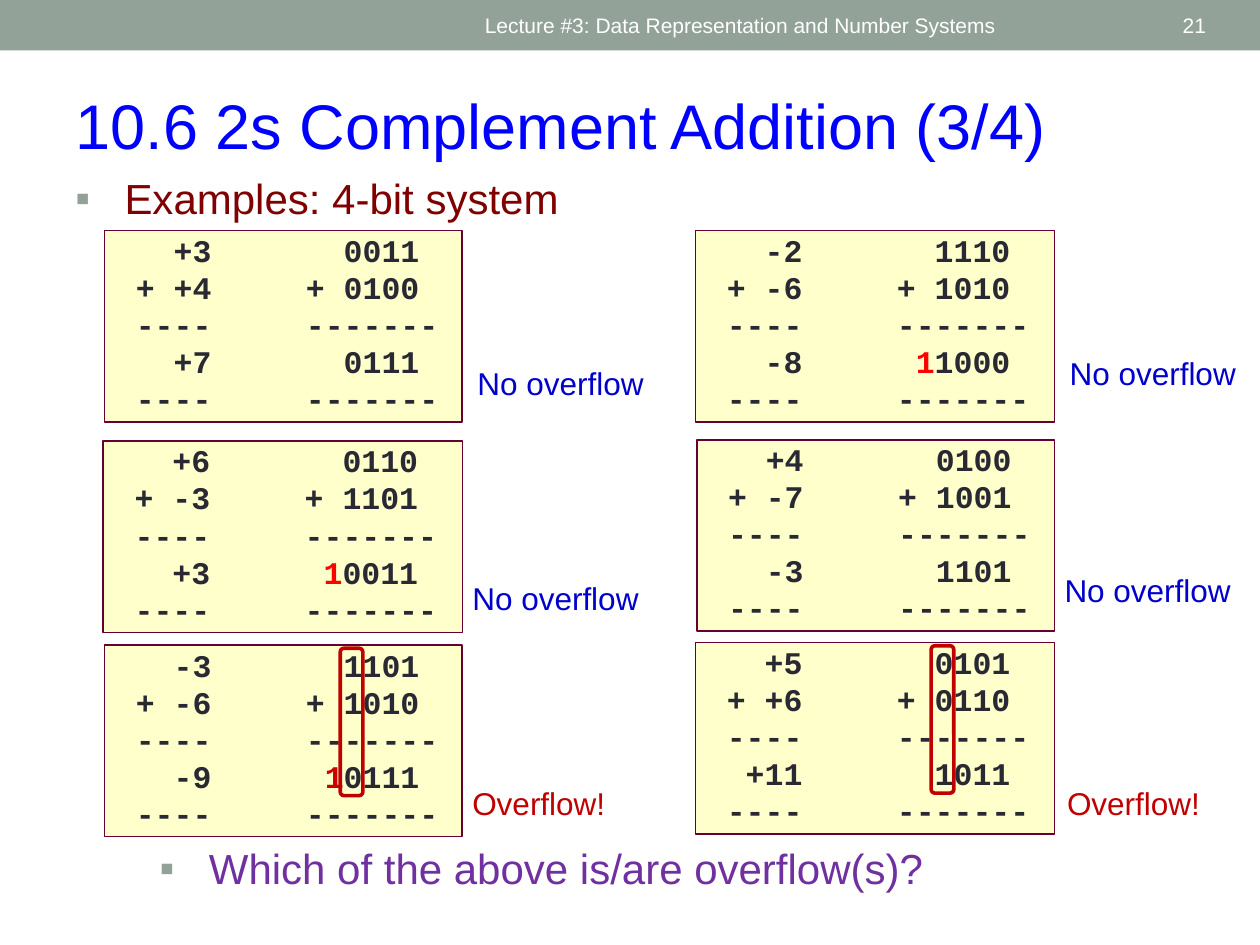
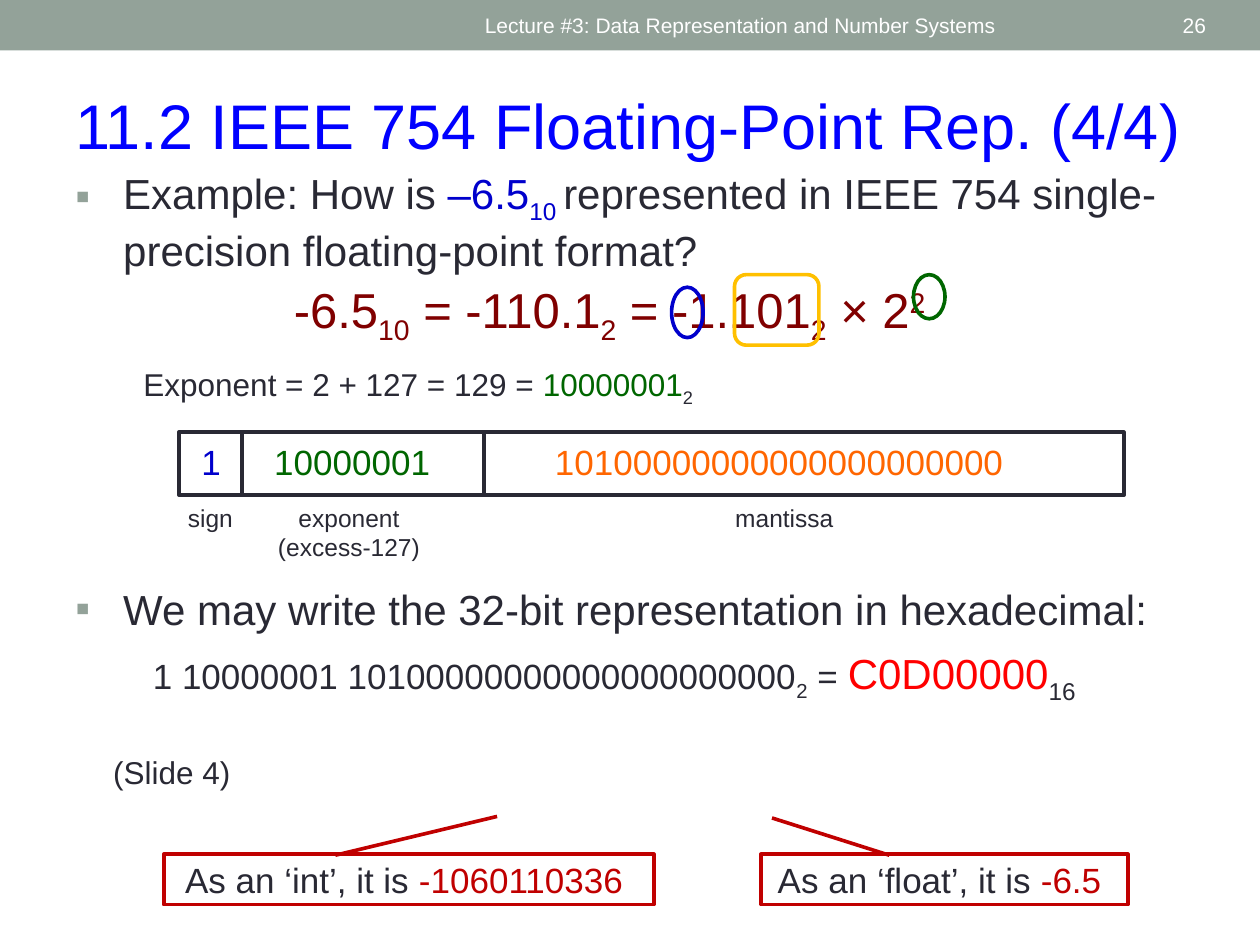
from dataclasses import dataclass

from lxml.etree import SubElement
from pptx import Presentation
from pptx.dml.color import RGBColor
from pptx.enum.shapes import MSO_SHAPE as Preset
from pptx.enum.text import MSO_ANCHOR as Anchor, MSO_AUTO_SIZE as AutoSize, PP_ALIGN as Align
from pptx.oxml.ns import qn
from pptx.util import Inches, Pt

WIDTH, HEIGHT = Inches(10), Inches(7.5)
COLUMN, ROW = WIDTH // 100, HEIGHT // 75


@dataclass(frozen=True)
class Theme:
    font: str = "Arial"
    code_font: str = "Courier New"
    white: str = "FFFFFF"
    band: str = "93A299"
    title: str = "0000FF"
    ink: str = "292934"
    maroon: str = "800000"
    purple: str = "7030A0"
    blue: str = "0000CC"
    green: str = "006600"
    orange: str = "FF6600"
    amber: str = "FFC000"
    red: str = "FF0000"
    carry: str = "CC0000"
    alert: str = "C00000"
    paper: str = "FFFFCC"
    paper_edge: str = "660033"
    title_size: int = 36
    equation_size: int = 28
    bullet_size: int = 24
    value_size: int = 20
    body_size: int = 18
    label_size: int = 14
    band_size: int = 12
    thin: float = 1
    thick: float = 2.08


THEME = Theme()


@dataclass(frozen=True)
class Box:
    left: float
    top: float
    width: float
    height: float

    def inner(self, left, top, width, height):
        return Box(self.left + left, self.top + top, width, height)

    def lengths(self):
        return (round(self.left * COLUMN), round(self.top * ROW),
                round(self.width * COLUMN), round(self.height * ROW))


@dataclass(frozen=True)
class Sum:
    box: Box
    first: tuple
    second: tuple
    result: tuple
    verdict_at: tuple
    carry: str = ""
    overflow: bool = False


PAGE = Box(0, 0, 100, 75)


def rgb(color):
    return RGBColor.from_string(color)


def add_run(paragraph, text, color, size, font=THEME.font, bold=False, baseline=0):
    run = paragraph.add_run()
    run.text = text
    for name, value in {"name": font, "size": Pt(size), "bold": bold}.items():
        setattr(run.font, name, value)
    run.font.color.rgb = rgb(color)
    if baseline:
        run.font._element.set("baseline", str(baseline * 1000))


def write(shape, lines, color=THEME.ink, size=THEME.body_size,
          align=Align.LEFT, anchor=Anchor.TOP, **style):
    frame = shape.text_frame
    formats = {"word_wrap": True, "auto_size": AutoSize.NONE, "vertical_anchor": anchor}
    for name, value in formats.items():
        setattr(frame, name, value)
    for index, runs in enumerate(lines):
        paragraph = frame.add_paragraph() if index else frame.paragraphs[0]
        paragraph.alignment = align
        for text, changes in runs:
            add_run(paragraph, text, **{"color": color, "size": size, **style, **changes})
    return shape


def plain(*lines):
    return [[(line, {})] for line in lines]


def add_text(slide, box, lines, **style):
    return write(slide.shapes.add_textbox(*box.lengths()), lines, **style)


def add_preset(slide, preset, box, fill=None, line=None, weight=THEME.thick):
    shape = slide.shapes.add_shape(preset, *box.lengths())
    shape.shadow.inherit = False
    if fill:
        shape.fill.solid()
        shape.fill.fore_color.rgb = rgb(fill)
    else:
        shape.fill.background()
    if line:
        shape.line.color.rgb = rgb(line)
        shape.line.width = Pt(weight)
    else:
        shape.line.fill.background()
    return shape


def add_bullet(slide, box, runs, margin=3.8, hang=3.8, **style):
    shape = slide.shapes.add_textbox(*box.lengths())
    properties = shape.text_frame.paragraphs[0]._p.get_or_add_pPr()
    properties.set("marL", str(round(margin * COLUMN)))
    properties.set("indent", str(round(-hang * COLUMN)))
    SubElement(SubElement(properties, qn("a:buClr")), qn("a:srgbClr"), val=THEME.band)
    SubElement(properties, qn("a:buFont"), typeface=THEME.font)
    SubElement(properties, qn("a:buChar"), char="▪")
    write(shape, [runs], size=THEME.bullet_size, **style)


def start_slide(presentation, title, number, title_width=90):
    slide = presentation.slides.add_slide(presentation.slide_layouts[5])
    band = PAGE.inner(0, 0, 100, 4)
    add_preset(slide, Preset.RECTANGLE, band, fill=THEME.band)
    style = {"color": THEME.white, "size": THEME.band_size, "anchor": Anchor.MIDDLE}
    add_text(slide, band.inner(37.5, 0.2, 45, 3.6),
             plain("Lecture #3: Data Representation and Number Systems"), **style)
    add_text(slide, band.inner(87.2, 0.2, 9.5, 3.6), plain(number), align=Align.RIGHT, **style)
    placeholder = slide.shapes.title
    lengths = PAGE.inner(5, 6.4, title_width, 7.1).lengths()
    for name, value in zip(("left", "top", "width", "height"), lengths):
        setattr(placeholder, name, value)
    write(placeholder, plain(title), color=THEME.title, size=THEME.title_size)
    return slide


def set_sum_columns(paragraph, ends):
    digit = Pt(THEME.body_size) * 0.6
    stops = SubElement(paragraph._p.get_or_add_pPr(), qn("a:tabLst"))
    for end in ends:
        SubElement(stops, qn("a:tab"), pos=str(round(end * digit)), algn="r")


def add_sum(slide, example):
    box = example.box
    shape = add_preset(slide, Preset.RECTANGLE, box, THEME.paper, THEME.paper_edge, THEME.thin)
    decimal, binary = example.result
    carry_color = THEME.carry if example.overflow else THEME.red
    result = [(f"\t{decimal}\t", {})]
    if example.carry:
        result.append((example.carry, {"color": carry_color}))
    result.append((binary, {}))
    rule = [("\t----\t-------", {})]
    lines = [
        [("\t{}\t{}".format(*example.first), {})],
        [("\t+ {}\t+ {}".format(*example.second), {})],
        rule, result, rule,
    ]
    frame = shape.text_frame
    write(shape, lines, font=THEME.code_font, bold=True)
    for index, paragraph in enumerate(frame.paragraphs):
        set_sum_columns(paragraph, (5, 17 if lines[index] is rule else 16))
        paragraph.line_spacing = 0.85
        if index:
            paragraph.space_before = Pt(2.8)
    verdict, color = ("Overflow!", THEME.alert) if example.overflow else ("No overflow", THEME.blue)
    add_text(slide, box.inner(*example.verdict_at, 16.5, 4), plain(verdict), color=color)
    if example.overflow:
        add_preset(slide, Preset.ROUNDED_RECTANGLE, box.inner(18.7, 0.25, 1.8, 11.7),
                   line=THEME.alert)


def build_addition(presentation):
    slide = start_slide(presentation, "10.6 2s Complement Addition (3/4)", "21")
    add_bullet(slide, PAGE.inner(5, 13.2, 90, 5.8), [("Examples: 4-bit system", {})],
               margin=3.9, hang=3.9, color=THEME.maroon)
    add_bullet(slide, PAGE.inner(10.8, 66.4, 71.7, 5.2),
               [("Which of the above is/are overflow(s)?", {})],
               margin=4.8, hang=3.9, color=THEME.purple)
    examples = [
        Sum(Box(8.3, 18.3, 28.4, 15.2), ("+3", "0011"), ("+4", "0100"), ("+7", "0111"),
            (28.6, 10.1)),
        Sum(Box(55.2, 18.3, 28.5, 15.2), ("-2", "1110"), ("-6", "1010"), ("-8", "1000"),
            (28.7, 9.3), carry="1"),
        Sum(Box(8.2, 35, 28.5, 15.2), ("+6", "0110"), ("-3", "1101"), ("+3", "0011"),
            (28.3, 10.5), carry="1"),
        Sum(Box(55.3, 34.9, 28.4, 15.2), ("+4", "0100"), ("-7", "1001"), ("-3", "1101"),
            (28.2, 9.9)),
        Sum(Box(8.3, 51.2, 28.4, 15.2), ("-3", "1101"), ("-6", "1010"), ("-9", "0111"),
            (28.2, 10.5), carry="1", overflow=True),
        Sum(Box(55.2, 51, 28.5, 15.2), ("+5", "0101"), ("+6", "0110"), ("+11", "1011"),
            (28.5, 10.7), overflow=True),
    ]
    for example in examples:
        add_sum(slide, example)


def add_equation(slide, box):
    low, high = {"baseline": -25}, {"baseline": 30}
    runs = [("-6.5", {}), ("10", low), (" = -110.1", {}), ("2", low),
            (" = -1.101", {}), ("2", low), (" × 2", {}), ("2 ", high)]
    add_text(slide, box, [runs], color=THEME.maroon, size=THEME.equation_size, align=Align.CENTER)
    marks = [
        (Preset.OVAL, (32.5, 1.1, 2.5, 4), THEME.blue),
        (Preset.OVAL, (51.7, 0.1, 2.5, 3.5), THEME.green),
        (Preset.ROUNDED_RECTANGLE, (37.5, 0.1, 6.7, 5.6), THEME.amber),
    ]
    for preset, place, color in marks:
        add_preset(slide, preset, box.inner(*place), line=color)


def add_bit_fields(slide, box):
    fields = [
        (5, "1", THEME.blue, (0.8, 3.3), ["sign"], (-0.4, 5.8)),
        (19.2, "10000001", THEME.green, (0, 17.5), ["exponent", "(excess-127)"], (1.6, 13.8)),
        (50.8, "10100000000000000000000", THEME.orange, (2.2, 42.5), ["mantissa"], (17.4, 12.9)),
    ]
    left = 0
    for width, bits, color, (value_left, value_width), label, (label_left, label_width) in fields:
        field = box.inner(left, 0, width, box.height)
        add_preset(slide, Preset.RECTANGLE, field, line=THEME.ink)
        add_text(slide, field.inner(value_left, 0.2, value_width, 4.4), plain(bits),
                 color=color, size=THEME.value_size, align=Align.CENTER)
        add_text(slide, field.inner(label_left, 5.1, label_width, 1.1 + 2.3 * len(label)),
                 plain(*label), size=THEME.label_size, align=Align.CENTER)
        left += width


def add_reading(slide, box, kind, value, pointer):
    shape = add_preset(slide, Preset.LINE_CALLOUT_1, box, THEME.white, THEME.alert)
    for index, share in enumerate(pointer):
        shape.adjustments[index] = share
    runs = [(f"As an ‘{kind}’, it is ", {}), (value, {"color": THEME.alert})]
    write(shape, [runs], size=THEME.value_size, align=Align.CENTER, anchor=Anchor.MIDDLE)


def build_floating_point(presentation):
    slide = start_slide(presentation, "11.2 IEEE 754 Floating-Point Rep. (4/4)", "26", 93.1)
    low = {"baseline": -25}
    add_bullet(slide, PAGE.inner(5, 12.8, 90, 10.5), [
        ("Example: How is ", {}),
        ("–6.5", {"color": THEME.blue}),
        ("10 ", {"color": THEME.blue, **low}),
        ("represented in IEEE 754 single-precision floating-point format?", {}),
    ])
    add_equation(slide, PAGE.inner(20.8, 21.7, 55.8, 5.7))
    add_text(slide, PAGE.inner(10.4, 28.5, 48.8, 4), [[
        ("Exponent = 2 + 127 = 129 = ", {}), ("10000001", {"color": THEME.green}), ("2", low)]])
    add_bit_fields(slide, PAGE.inner(14.2, 34.3, 75, 5))
    add_bullet(slide, PAGE.inner(5, 45.8, 90, 6.3),
               [("We may write the 32-bit representation in hexadecimal:", {})])
    large = {"size": THEME.bullet_size}
    add_text(slide, PAGE.inner(10.9, 50.9, 75.7, 5), [[
        ("1 10000001 10100000000000000000000", {}), ("2", low), (" = ", {}),
        ("C0D00000", {"color": THEME.red, **large}), ("16 ", {**large, **low}),
    ]], size=THEME.value_size, align=Align.CENTER)
    add_text(slide, PAGE.inner(8, 59.3, 11.7, 4), plain("(Slide 4)"))
    add_reading(slide, PAGE.inner(13, 67.8, 38.9, 4), "int", "-1060110336 ",
                (0.02, 0.35, -0.75, 0.68))
    add_reading(slide, PAGE.inner(60.4, 67.8, 29.1, 4), "float", "-6.5 ",
                (0.02, 0.35, -0.72, 0.03))


def main():
    presentation = Presentation()
    presentation.slide_width, presentation.slide_height = WIDTH, HEIGHT
    build_addition(presentation)
    build_floating_point(presentation)
    presentation.save("out.pptx")


if __name__ == "__main__":
    main()
